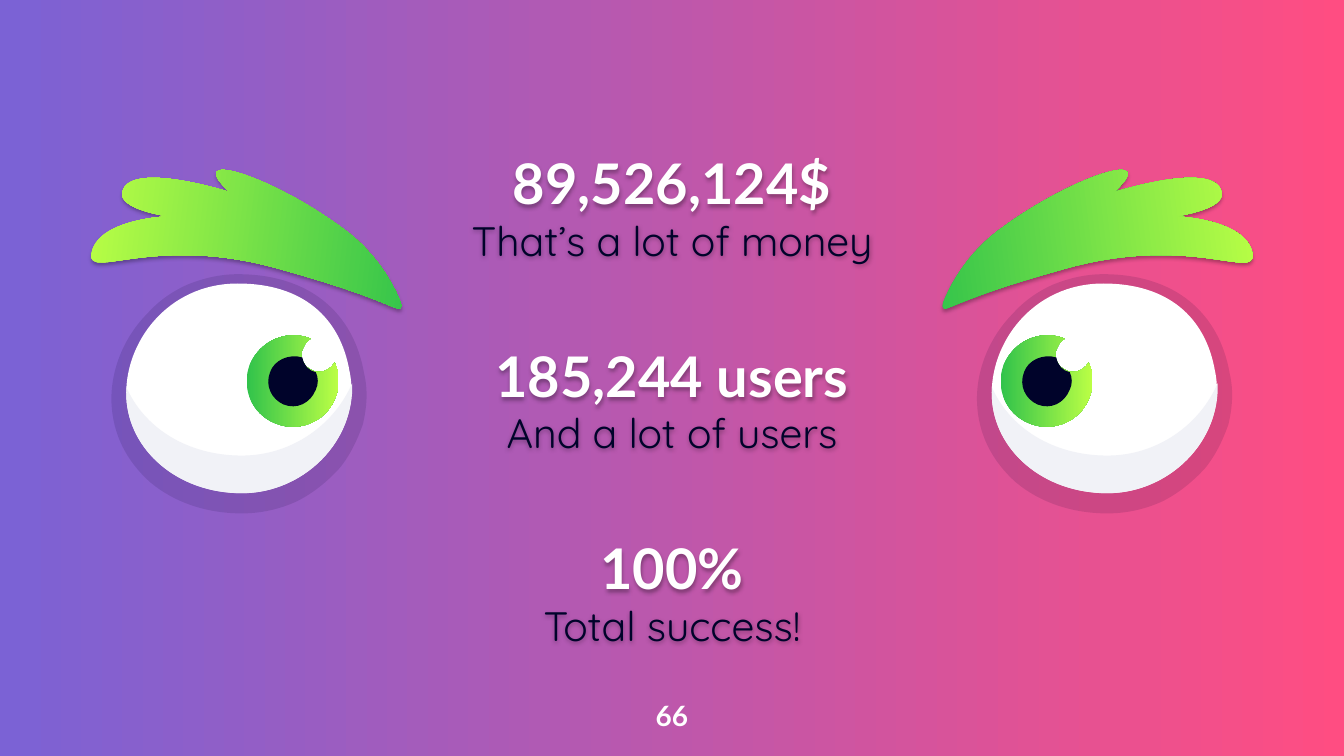
from copy import deepcopy
from math import cos, radians, sin

from lxml.etree import SubElement
from pptx import Presentation
from pptx.dml.color import RGBColor
from pptx.enum.text import MSO_ANCHOR as Anchor, MSO_AUTO_SIZE as AutoSize, PP_ALIGN as Align
from pptx.oxml.ns import qn
from pptx.util import Inches, Pt

SLIDE_WIDTH = 10
SLIDE_HEIGHT = SLIDE_WIDTH * 9 / 16
WHITE, NAVY = "FFFFFF", "00032A"
GREENS = ("32C34B", "BBFF45")
FIGURES = [("89,526,124$", "That’s a lot of money"),
           ("185,244 users", "And a lot of users"),
           ("100%", "Total success!")]
FIRST_TOP, FIGURE_STEP, CAPTION_DROP, TEXT_WIDTH = 0.63, 1.435, 0.915, 4.05
TEXT_LEFT = (SLIDE_WIDTH - TEXT_WIDTH) / 2
NUMBER_STYLE = {"name": "Lato", "size": Pt(30), "bold": True}
CAPTION_STYLE = {"name": "Quicksand", "size": Pt(22), "bold": False}
PAGE_STYLE = {"name": "Lato", "size": Pt(15), "bold": True}

EYE_SHIFT, IRIS_SHIFT = 6.44, 5.61
HALO = [(1.8, 3.82), (1.54, 3.82), (1.3, 3.74), (1.12, 3.59), (0.94, 3.43), (0.84, 3.23), (0.83, 3),
        (0.82, 2.76), (0.92, 2.51), (1.1, 2.33), (1.18, 2.24), (1.28, 2.17), (1.39, 2.12),
        (1.51, 2.07), (1.64, 2.04), (1.77, 2.04), (2.03, 2.04), (2.25, 2.11), (2.41, 2.24),
        (2.57, 2.37), (2.67, 2.55), (2.71, 2.78), (2.74, 2.91), (2.73, 3.03), (2.7, 3.16),
        (2.66, 3.27), (2.61, 3.38), (2.53, 3.48), (2.44, 3.58), (2.33, 3.67), (2.21, 3.73),
        (2.08, 3.79), (1.94, 3.82), (1.8, 3.82)]
EYEBALL = [(1.77, 2.11), (1.24, 2.11), (0.92, 2.56), (0.94, 2.96), (0.96, 3.35), (1.32, 3.67), (1.8, 3.67),
           (2.29, 3.67), (2.7, 3.23), (2.6, 2.76), (2.53, 2.36), (2.25, 2.11), (1.77, 2.11)]
SHADE = [(1.8, 3.39), (1.39, 3.39), (1.07, 3.18), (0.94, 2.88), (0.94, 2.9), (0.94, 2.93), (0.94, 2.96),
         (0.96, 3.35), (1.32, 3.67), (1.8, 3.67), (2.26, 3.67), (2.64, 3.28), (2.62, 2.85),
         (2.49, 3.16), (2.17, 3.39), (1.8, 3.39)]
IRIS = [(2.49, 2.7), (2.45, 2.76), (2.38, 2.79), (2.31, 2.75), (2.25, 2.72), (2.22, 2.64), (2.26, 2.58),
        (2.27, 2.55), (2.29, 2.54), (2.31, 2.52), (2.14, 2.45), (1.94, 2.53), (1.86, 2.71),
        (1.79, 2.88), (1.87, 3.08), (2.05, 3.15), (2.22, 3.22), (2.42, 3.14), (2.49, 2.97),
        (2.53, 2.88), (2.53, 2.78), (2.49, 2.7)]
PUPIL = [(2.25, 2.66), (2.15, 2.63), (2.04, 2.68), (2.01, 2.77), (1.97, 2.87), (2.02, 2.97), (2.11, 3.01),
         (2.21, 3.05), (2.31, 3), (2.35, 2.9), (2.37, 2.86), (2.37, 2.81), (2.35, 2.77),
         (2.3, 2.76), (2.26, 2.72), (2.25, 2.66)]
EYE_PARTS = [(HALO, (0.83, 2.04, 1.9, 1.78), ("09052E",), 12, EYE_SHIFT),
             (EYEBALL, (0.94, 2.11, 1.68, 1.56), (WHITE,), 100, EYE_SHIFT),
             (SHADE, (0.94, 2.85, 1.68, 0.82), ("F1F2F7",), 100, EYE_SHIFT),
             (IRIS, (1.84, 2.5, 0.68, 0.68), GREENS, 100, IRIS_SHIFT),
             (PUPIL, (1.99, 2.65, 0.37, 0.37), (NAVY,), 100, IRIS_SHIFT)]
BROW_FRAME, BROW_TILT = (0.71, 1.29, 2.33, 0.86), 7.1
BROW = [(2.98, 2.25), (2.98, 2.25), (2.87, 1.93), (2.55, 1.7), (2.01, 1.3), (1.35, 1.1), (1.71, 1.43),
        (1.71, 1.43), (0.96, 1.19), (0.91, 1.43), (0.88, 1.56), (1.25, 1.61), (1.25, 1.61),
        (1.25, 1.61), (0.72, 1.63), (0.68, 1.89), (0.65, 2.09), (1.16, 1.73), (2.11, 2.01),
        (2.5, 2.12), (2.7, 2.19), (2.94, 2.29), (3.01, 2.32), (2.98, 2.25), (2.98, 2.25)]


def paint(fill, colors, opacity=100):
    if len(colors) == 2:
        fill.gradient()
        fill.gradient_angle = 0
        for stop, value in zip(fill.gradient_stops, colors):
            stop.color.rgb = RGBColor.from_string(value)
        return
    fill.solid()
    fill.fore_color.rgb = RGBColor.from_string(colors[0])
    if opacity < 100:
        swatch = fill._xPr.find(".//" + qn("a:srgbClr"))
        SubElement(swatch, qn("a:alpha"), val=str(opacity * 1000))


def add_soft_shadow(shape, distance=1.5):
    shape.shadow.inherit = False
    effects = shape._element.spPr.find(qn("a:effectLst"))
    shadow = SubElement(effects, qn("a:outerShdw"), blurRad=str(Pt(2.2)), dist=str(Pt(distance)),
                        dir="5400000", algn="bl", rotWithShape="0")
    black = SubElement(shadow, qn("a:srgbClr"), val="000000")
    SubElement(black, qn("a:alpha"), val="30000")


def assign(target, values):
    for name, value in values.items():
        setattr(target, name, value)


def write(shape, box, text, style, text_color, anchor, spacing=1.0):
    assign(shape, dict(zip(("left", "top", "width", "height"), map(Inches, box))))
    frame = shape.text_frame
    assign(frame, {"word_wrap": True, "auto_size": AutoSize.NONE, "vertical_anchor": anchor,
                   "margin_left": 0, "margin_top": 0, "margin_right": 0, "margin_bottom": 0})
    paragraph = frame.paragraphs[0]
    assign(paragraph, {"alignment": Align.CENTER, "line_spacing": spacing, "space_before": Pt(0)})
    run = paragraph.add_run()
    run.text = text
    assign(run.font, style)
    paint(run.font.fill, (text_color,))


def add_placeholder_pairs(slide, count):
    originals = [shape._element for shape in slide.placeholders]
    for index in range(1, count):
        for element in originals:
            twin = deepcopy(element)
            twin.nvSpPr.cNvPr.set("id", str(element.shape_id + 10 * index))
            slide.shapes._spTree.append(twin)
    boxes = list(slide.shapes)
    return zip(boxes[::2], boxes[1::2])


def add_figure(title, subtitle, top, number, caption):
    write(title, (TEXT_LEFT, top, TEXT_WIDTH, 0.98), number, NUMBER_STYLE, WHITE, Anchor.BOTTOM, 0.9)
    write(subtitle, (TEXT_LEFT, top + CAPTION_DROP, TEXT_WIDTH, 0.51), caption, CAPTION_STYLE,
          NAVY, Anchor.TOP, 1.15)
    add_soft_shadow(title)
    add_soft_shadow(subtitle, 0.5)


def add_curve(shapes, points, box, colors, opacity=100):
    left, top, width, height = map(Inches, box)
    builder = shapes.build_freeform(left, top)
    builder.add_line_segments([(left + width, top), (left + width, top + height), (left, top + height)])
    shape = builder.convert_to_shape()
    outline = shape._element.spPr.find(".//" + qn("a:path"))
    for child in list(outline):
        outline.remove(child)
    for segment in [points[:1]] + [points[i:i + 3] for i in range(1, len(points), 3)]:
        command = SubElement(outline, qn("a:moveTo" if len(segment) == 1 else "a:cubicBezTo"))
        for x, y in segment:
            SubElement(command, qn("a:pt"), x=str(Inches(x) - left), y=str(Inches(y) - top))
    SubElement(outline, qn("a:close"))
    paint(shape.fill, colors, opacity)
    shape.line.fill.background()
    shape.shadow.inherit = False
    return shape


def add_eye(slide, right_side):
    group = slide.shapes.add_group_shape()
    for points, (left, *rest), colors, opacity, shift in EYE_PARTS:
        offset = shift * right_side
        moved = [(x + offset, y) for x, y in points]
        add_curve(group.shapes, moved, (left + offset, *rest), colors, opacity)


def rotate(points, cx, cy, angle):
    return [(cx + (x - cx) * cos(angle) - (y - cy) * sin(angle),
             cy + (x - cx) * sin(angle) + (y - cy) * cos(angle)) for x, y in points]


def add_brow(slide, right_side):
    left, top, width, height = BROW_FRAME
    points = rotate(BROW, left + width / 2, top + height / 2, -radians(BROW_TILT))
    tilt, colors = BROW_TILT, GREENS[::-1]
    if right_side:
        points = [(SLIDE_WIDTH - x, y) for x, y in points]
        left, tilt, colors = SLIDE_WIDTH - left - width, -BROW_TILT, GREENS
    shape = add_curve(slide.shapes, points, (left, top, width, height), colors)
    shape.rotation = tilt
    add_soft_shadow(shape)


def main():
    presentation = Presentation()
    assign(presentation, {"slide_width": Inches(SLIDE_WIDTH), "slide_height": Inches(SLIDE_HEIGHT)})
    slide = presentation.slides.add_slide(presentation.slide_layouts[0])
    paint(slide.background.fill, ("7B62D5", "FF4D82"))
    pairs = add_placeholder_pairs(slide, len(FIGURES))
    for index, ((title, subtitle), (number, caption)) in enumerate(zip(pairs, FIGURES)):
        add_figure(title, subtitle, FIRST_TOP + index * FIGURE_STEP, number, caption)
    page = slide.shapes.add_textbox(0, 0, 0, 0)
    write(page, (4.7, 5.11, 0.6, 0.43), "66", PAGE_STYLE, WHITE, Anchor.MIDDLE)
    for right_side in (True, False):
        add_eye(slide, right_side)
        add_brow(slide, right_side)
    presentation.save("out.pptx")


if __name__ == "__main__":
    main()
